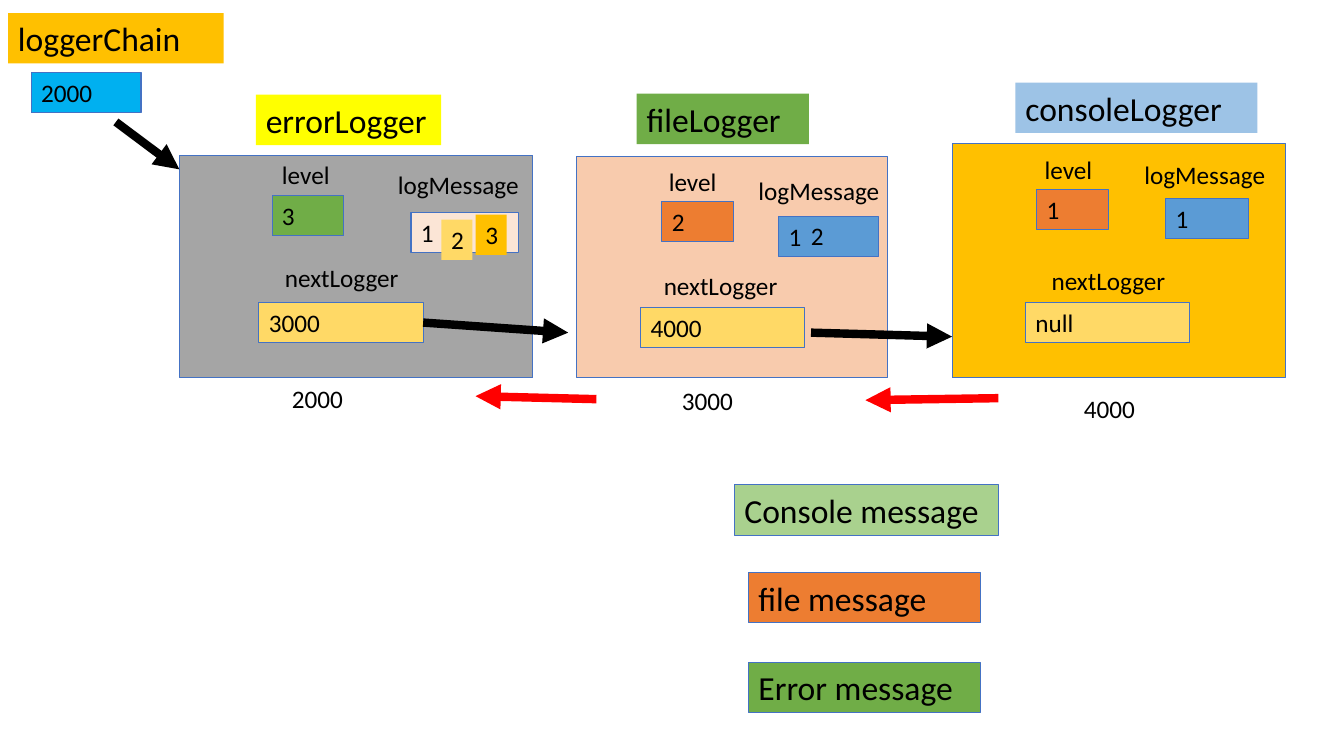
from pptx import Presentation
from pptx.dml.color import RGBColor
from pptx.enum.shapes import MSO_CONNECTOR, MSO_SHAPE
from pptx.enum.text import MSO_ANCHOR, PP_ALIGN
from pptx.oxml.ns import qn
from pptx.util import Inches, Pt
from lxml.etree import SubElement

BLACK = RGBColor(0x00, 0x00, 0x00)
RED = RGBColor(0xFF, 0x00, 0x00)
GRAY = RGBColor(0xA5, 0xA5, 0xA5)
PEACH = RGBColor(0xF8, 0xCB, 0xAD)
PALE_PEACH = RGBColor(0xFB, 0xE5, 0xD6)
GOLD = RGBColor(0xFF, 0xC0, 0x00)
LIGHT_GOLD = RGBColor(0xFF, 0xD9, 0x66)
YELLOW = RGBColor(0xFF, 0xFF, 0x00)
GREEN = RGBColor(0x70, 0xAD, 0x47)
LIGHT_GREEN = RGBColor(0xA9, 0xD1, 0x8E)
ORANGE = RGBColor(0xED, 0x7D, 0x31)
BLUE = RGBColor(0x5B, 0x9B, 0xD5)
LIGHT_BLUE = RGBColor(0x9D, 0xC3, 0xE6)
SKY = RGBColor(0x00, 0xB0, 0xF0)
OUTLINE = RGBColor(0x44, 0x72, 0xC4)

FONT = "Calibri"
BODY, TITLE = 18, 24
ROW_HEIGHT = {BODY: 40, TITLE: 50}

presentation = Presentation()
presentation.slide_width, presentation.slide_height = Inches(13.34), Inches(7.5)
slide = presentation.slides.add_slide(presentation.slide_layouts[6])

# Fine grid: every place and size below is in columns and rows
COLUMN = presentation.slide_width / 1334
ROW = presentation.slide_height / 750


def add_box(left, top, width, text="", fill=None, outlined=True, size=BODY, height=None):
    """Add a filled rectangle, or a bare label when there is no fill."""
    height = height or ROW_HEIGHT[size]
    place = [round(n) for n in (left * COLUMN, top * ROW, width * COLUMN, height * ROW)]
    if fill is None:
        shape = slide.shapes.add_textbox(*place)
    else:
        shape = slide.shapes.add_shape(MSO_SHAPE.RECTANGLE, *place)
        shape.shadow.inherit = False
        shape.fill.solid()
        shape.fill.fore_color.rgb = fill
        if outlined:
            shape.line.color.rgb = OUTLINE
            shape.line.width = Pt(0.75)
        else:
            shape.line.fill.background()
    if text:
        frame = shape.text_frame
        frame.word_wrap = fill is not None
        frame.vertical_anchor = MSO_ANCHOR.TOP
        paragraph = frame.paragraphs[0]
        paragraph.alignment = PP_ALIGN.LEFT
        run = paragraph.add_run()
        run.text = text
        run.font.name, run.font.size = FONT, Pt(size)
        run.font.color.rgb = BLACK
    return shape


def add_arrow(start, end, color):
    """Add a thick arrow between two (column, row) points."""
    ends = [round(n) for x, y in (start, end) for n in (x * COLUMN, y * ROW)]
    arrow = slide.shapes.add_connector(MSO_CONNECTOR.STRAIGHT, *ends)
    arrow.line.color.rgb = color
    arrow.line.width = Pt(6)
    SubElement(arrow.line._get_or_add_ln(), qn("a:tailEnd"), type="triangle")
    SubElement(arrow._element.spPr, qn("a:effectLst"))
    return arrow


# Logger objects: body, name, then (left, top, width, text, fill) of each field
loggers = [
    ((178, 154, 351, 221, GRAY), (254, 94, 184, "errorLogger", YELLOW), [
        (270, 153, 75, "level"), (270, 194, 71, "3", GREEN),
        (385, 163, 142, "logMessage"), (408, 211, 107, "1", PALE_PEACH),
        (273, 255, 136, "nextLogger"), (280, 375, 73, "2000"),
        (257, 300, 163, "3000", LIGHT_GOLD)]),
    ((572, 155, 309, 220, PEACH), (632, 93, 171, "fileLogger", GREEN), [
        (654, 160, 75, "level"), (657, 200, 71, "2", ORANGE),
        (743, 169, 142, "logMessage"), (773, 215, 99, "1", BLUE),
        (649, 263, 136, "nextLogger"), (667, 377, 73, "3000"),
        (636, 305, 163, "4000", LIGHT_GOLD)]),
    ((945, 142, 331, 233, GOLD), (1008, 82, 240, "consoleLogger", LIGHT_BLUE), [
        (1027, 148, 75, "level"), (1029, 188, 71, "1", ORANGE),
        (1126, 153, 142, "logMessage"), (1157, 197, 82, "1", BLUE),
        (1034, 258, 136, "nextLogger"), (1066, 385, 73, "4000"),
        (1018, 300, 163, "null", LIGHT_GOLD)]),
]
next_boxes = []
for (left, top, width, height, fill), name, fields in loggers:
    add_box(left, top, width, fill=fill, height=height)
    add_box(*name, outlined=False, size=TITLE)
    boxes = [add_box(*field) for field in fields]
    next_boxes.append(boxes[-1])

# Further values in the logMessage fields
add_box(438, 218, 31, "2", LIGHT_GOLD, outlined=False)
add_box(472, 213, 31, "3", GOLD, outlined=False)
add_box(795, 214, 31, "2")

# Head of the chain
add_box(8, 13, 214, "loggerChain", GOLD, outlined=False, size=TITLE)
add_box(31, 72, 109, "2000", SKY)
add_arrow((115, 121), (178, 168), BLACK)

# Links forward in black, way back in red
first_link = add_arrow((420, 320), (564, 330), BLACK)
first_link.begin_connect(next_boxes[0], 3)
add_arrow((805, 330), (945, 334), BLACK)
add_arrow((991, 395), (859, 397), RED)
add_arrow((592, 396), (472, 393), RED)

# Messages
for left, top, width, text, fill in [
    (729, 481, 262, "Console message", LIGHT_GREEN),
    (743, 568, 230, "file message", ORANGE),
    (743, 657, 230, "Error message", GREEN),
]:
    add_box(left, top, width, text, fill, size=TITLE)

presentation.save("out.pptx")
